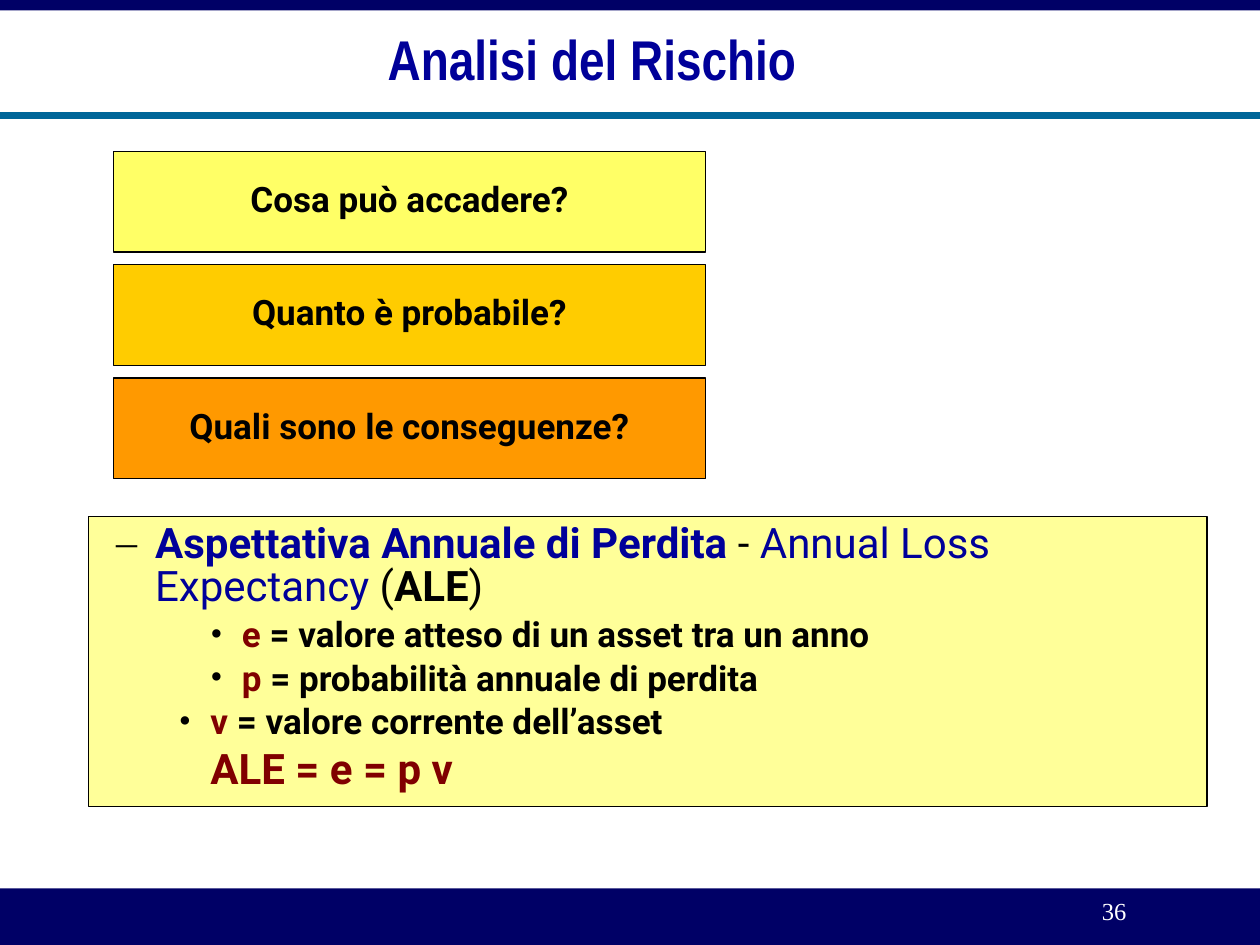
from dataclasses import dataclass

from lxml import etree
from pptx import Presentation
from pptx.dml.color import RGBColor
from pptx.enum.shapes import MSO_CONNECTOR, MSO_SHAPE
from pptx.enum.text import MSO_ANCHOR, PP_ALIGN
from pptx.oxml.ns import qn
from pptx.util import Pt

RECT = MSO_SHAPE.RECTANGLE
STRAIGHT = MSO_CONNECTOR.STRAIGHT
LEFT, CENTER = PP_ALIGN.LEFT, PP_ALIGN.CENTER
TOP, MIDDLE = MSO_ANCHOR.TOP, MSO_ANCHOR.MIDDLE


@dataclass(frozen=True)
class Theme:
    black: str = "000000"
    white: str = "FFFFFF"
    navy: str = "000066"
    blue: str = "000099"
    teal: str = "006699"
    maroon: str = "800000"
    panel: str = "FFFF99"
    levels: tuple = ("FFFF66", "FFCC00", "FF9900")
    title_font: str = "Arial Narrow"
    body_font: str = "Roboto"
    serif_font: str = "Times New Roman"
    title: int = 32
    large: int = 24
    body: int = 20
    number: int = 14
    spacing: float = 0.86


T = Theme()


def rgb(value):
    return RGBColor.from_string(value)


def add_rect(slide, box, fill, outlined=True):
    sp = slide.shapes.add_shape(RECT, *map(Pt, box))
    sp.shadow.inherit = False
    sp.fill.solid()
    sp.fill.fore_color.rgb = rgb(fill)
    if outlined:
        sp.line.color.rgb = rgb(T.black)
        sp.line.width = Pt(0)
    else:
        sp.line.fill.background()
    return sp


def set_frame(sp, anchor, top=0):
    tf = sp.text_frame
    tf.word_wrap = True
    tf.vertical_anchor = anchor
    tf.margin_left = tf.margin_right = tf.margin_bottom = 0
    tf.margin_top = Pt(top)
    return tf


def set_paragraph(p, align):
    p.alignment = align
    p.line_spacing = T.spacing


def add_run(p, text, size, color, bold=True, font=T.body_font):
    r = p.add_run()
    r.text = text
    r.font.name = font
    r.font.size = Pt(size)
    r.font.bold = bold
    r.font.color.rgb = rgb(color)


def set_bullet(p, char, margin, hanging):
    pPr = p._p.get_or_add_pPr()
    pPr.set("marL", str(Pt(margin)))
    pPr.set("indent", str(-Pt(hanging)))
    if not char:
        etree.SubElement(pPr, qn("a:buNone"))
        return
    color = etree.SubElement(pPr, qn("a:buClr"))
    etree.SubElement(color, qn("a:srgbClr"), val=T.black)
    etree.SubElement(pPr, qn("a:buFont"), typeface=T.serif_font)
    etree.SubElement(pPr, qn("a:buChar"), char=char)


def add_label(slide, box, text, size, color, font, bold):
    sp = slide.shapes.add_textbox(*map(Pt, box))
    p = set_frame(sp, MIDDLE).paragraphs[0]
    set_paragraph(p, CENTER)
    add_run(p, text, size, color, bold, font)


def add_header(slide, box):
    left, top, width, height = box
    bar = 6
    add_rect(slide, (left, top, width, bar), T.navy, outlined=False)
    rule = slide.shapes.add_connector(
        STRAIGHT, Pt(left), Pt(top + height), Pt(left + width), Pt(top + height))
    rule.line.color.rgb = rgb(T.teal)
    rule.line.width = Pt(4.5)
    etree.SubElement(rule._element.spPr, qn("a:effectLst"))
    add_label(slide, (left, top + bar, width - 43.2, height - bar),
              "Analisi del Rischio", T.title, T.blue, T.title_font, True)


def add_footer(slide, box):
    left, top, width, height = box
    add_rect(slide, box, T.navy, outlined=False)
    add_label(slide, (left + 561.6, top + 2, 150, 24),
              "36", T.number, T.white, T.serif_font, False)


def add_questions(slide, box, questions, gap):
    """Stack the questions in equal boxes, one colour for each step."""
    left, top, width, height = box
    step = (height + gap) / len(questions)
    for i, (text, fill) in enumerate(zip(questions, T.levels)):
        sp = add_rect(slide, (left, top + i * step, width, step - gap), fill)
        p = set_frame(sp, MIDDLE).paragraphs[0]
        set_paragraph(p, CENTER)
        add_run(p, text, T.body, T.black)


def add_loss_panel(slide, box):
    tf = set_frame(add_rect(slide, box, T.panel), TOP, top=4.2)
    p = tf.paragraphs[0]
    set_bullet(p, "–", 38.2, 22.3)
    set_paragraph(p, LEFT)
    for text, color, bold in (
        ("Aspettativa Annuale di Perdita", T.blue, True),
        (" - ", T.black, False),
        ("Annual Loss Expectancy", T.blue, False),
        (" (", T.black, False),
        ("ALE", T.black, True),
        (")", T.black, False),
    ):
        add_run(p, text, T.large, color, bold)

    inner, outer = 87.8, 69.8
    for symbol, meaning, margin in (
        ("e", " = valore atteso di un asset tra un anno", inner),
        ("p", " = probabilità annuale di perdita", inner),
        ("v", " = valore corrente dell’asset", outer),
    ):
        p = tf.add_paragraph()
        set_bullet(p, "•", margin, 18)
        set_paragraph(p, LEFT)
        p.space_before = Pt(4.4)
        add_run(p, symbol, T.body, T.maroon)
        add_run(p, meaning, T.body, T.black)

    p = tf.add_paragraph()
    set_bullet(p, None, outer, 0)
    set_paragraph(p, LEFT)
    p.space_before = Pt(4.4)
    add_run(p, "ALE = e = p v", T.large, T.maroon)


def main():
    prs = Presentation()
    prs.slide_width, prs.slide_height = Pt(720), Pt(540)
    slide = prs.slides.add_slide(prs.slide_layouts[6])
    add_footer(slide, (0, 507.6, 720, 32.4))
    add_header(slide, (0, 0, 720, 66))
    add_loss_panel(slide, (50.4, 295.2, 639.4, 165.6))
    add_questions(slide, (64.8, 86.4, 338.4, 187.2), (
        "Cosa può accadere?",
        "Quanto è probabile?",
        "Quali sono le conseguenze?",
    ), gap=7.2)
    prs.save("out.pptx")


if __name__ == "__main__":
    main()
